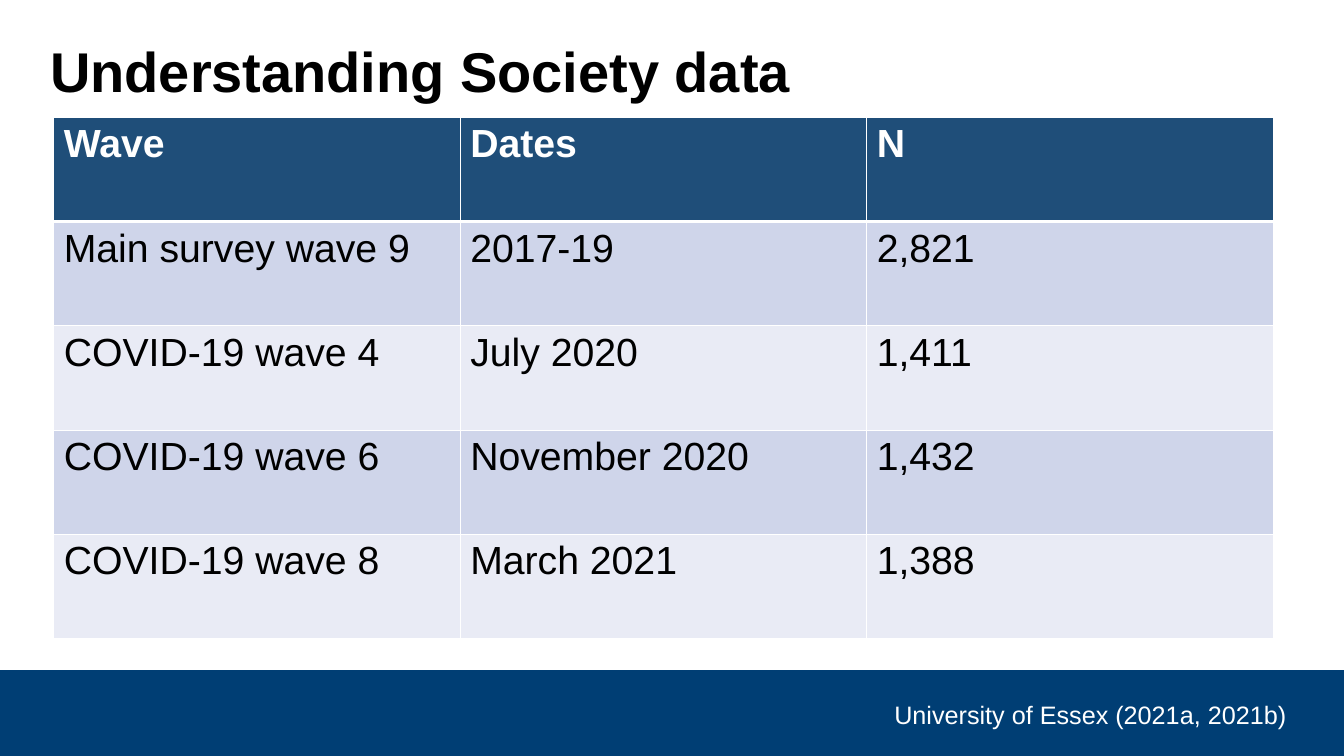
import dataclasses

import lxml.etree
import pptx
import pptx.dml.color
import pptx.enum.shapes
import pptx.enum.text
import pptx.oxml.ns
import pptx.util

Pt = pptx.util.Pt
ALIGN = pptx.enum.text.PP_ALIGN


@dataclasses.dataclass(frozen=True)
class Theme:
    """Colours, font and type sizes of the slide."""
    font: str = "Arial"
    ink: str = "000000"
    paper: str = "FFFFFF"
    footer: str = "003E74"
    header: str = "1F4E79"
    bands: tuple = ("CFD5EA", "E9EBF5")
    title_size: int = 40
    table_size: int = 28
    source_size: int = 18


THEME = Theme()
WIDTH, HEIGHT = 960, 540
WAVES = [
    ("Wave", "Dates", "N"),
    ("Main survey wave 9", "2017-19", "2,821"),
    ("COVID-19 wave 4", "July 2020", "1,411"),
    ("COVID-19 wave 6", "November 2020", "1,432"),
    ("COVID-19 wave 8", "March 2021", "1,388"),
]


def rgb(value):
    """Turn a hex string into a colour."""
    return pptx.dml.color.RGBColor.from_string(value)


def write(tf, text, *, size, color=THEME.ink, bold=False, align=ALIGN.LEFT,
          line_spacing=None, before=None):
    """Write one formatted paragraph into a text frame."""
    tf.word_wrap = True
    p = tf.paragraphs[0]
    p.alignment = align
    if line_spacing:
        p.line_spacing = line_spacing
    if before:
        p.space_before = Pt(before)
    r = p.add_run()
    r.text = text
    r.font.name = THEME.font
    r.font.size = Pt(size)
    r.font.bold = bold
    r.font.color.rgb = rgb(color)


def text_box(s, box, text, **fmt):
    """Add a text box holding one paragraph."""
    sp = s.shapes.add_textbox(*map(Pt, box))
    write(sp.text_frame, text, **fmt)


def border(cell, side, width):
    """Draw one white edge of a table cell."""
    qn = pptx.oxml.ns.qn
    tc_pr = cell._tc.get_or_add_tcPr()
    ln = lxml.etree.SubElement(tc_pr, qn(f"a:ln{side}"), w=str(Pt(width)))
    fill = lxml.etree.SubElement(ln, qn("a:solidFill"))
    lxml.etree.SubElement(fill, qn("a:srgbClr"), val=THEME.paper)


def wave_table(s, box, rows):
    """Add the banded table of survey waves."""
    table = s.shapes.add_table(len(rows), len(rows[0]), *map(Pt, box)).table
    for i, row in enumerate(rows):
        head = i == 0
        edges = {"L": 1, "R": 1, "T": 3 if i == 1 else 1, "B": 3 if head else 1}
        for j, text in enumerate(row):
            cell = table.cell(i, j)
            for side, width in edges.items():
                border(cell, side, width)
            cell.fill.solid()
            cell.fill.fore_color.rgb = rgb(THEME.header if head else THEME.bands[(i - 1) % 2])
            write(cell.text_frame, text, size=THEME.table_size, bold=head,
                  color=THEME.paper if head else THEME.ink)


def footer(s, box, source):
    """Add the footer band with its right-aligned source."""
    x, y, w, h = box
    sp = s.shapes.add_shape(pptx.enum.shapes.MSO_SHAPE.RECTANGLE, *map(Pt, box))
    sp.shadow.inherit = False
    sp.fill.solid()
    sp.fill.fore_color.rgb = rgb(THEME.footer)
    sp.line.fill.background()
    text_box(s, (x + w - 411.5, y + 17.5, 377.5, 29), source,
             size=THEME.source_size, color=THEME.paper, align=ALIGN.RIGHT)


def data_slide(prs):
    """Build the slide of title, table and footer."""
    s = prs.slides.add_slide(prs.slide_layouts[6])
    footer(s, (0, 478.6, WIDTH, HEIGHT - 478.6), "University of Essex (2021a, 2021b)")
    text_box(s, (28.8, 28, 890.6, 72), "Understanding Society data",
             size=THEME.title_size, bold=True, line_spacing=0.9, before=10)
    wave_table(s, (38.4, 83.8, 871, 372.5), WAVES)


def main():
    """Create and save the presentation."""
    prs = pptx.Presentation()
    prs.slide_width, prs.slide_height = Pt(WIDTH), Pt(HEIGHT)
    data_slide(prs)
    prs.save("out.pptx")


if __name__ == "__main__":
    main()
